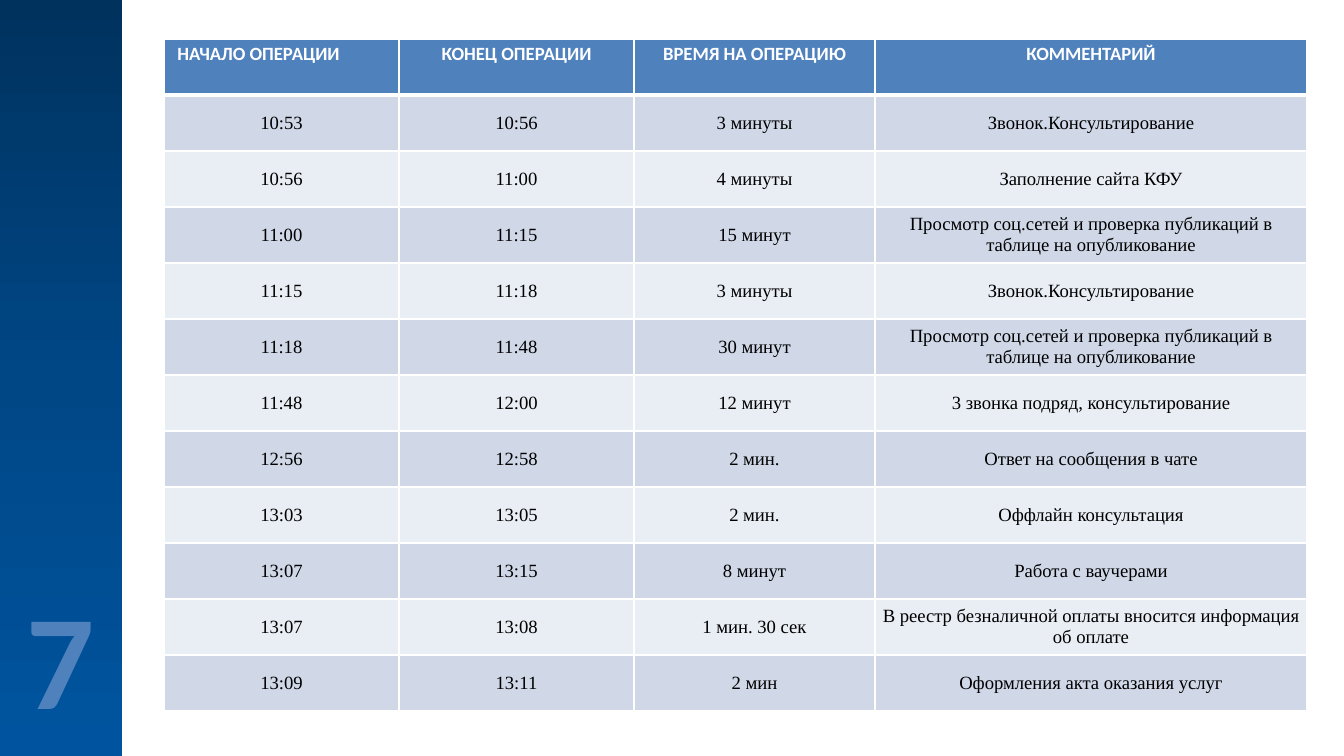
"""Build the slide with the operation timing table."""
import copy

import lxml.etree
import pptx
import pptx.dml.color
import pptx.enum.dml
import pptx.enum.shapes
import pptx.enum.text
import pptx.oxml.ns
import pptx.util

HEADERS = ["НАЧАЛО ОПЕРАЦИИ", "КОНЕЦ ОПЕРАЦИИ", "ВРЕМЯ НА ОПЕРАЦИЮ", "КОММЕНТАРИЙ"]
CALL = "Звонок.Консультирование"
REVIEW = "Просмотр соц.сетей и проверка публикаций в таблице на опубликование"
OPERATIONS = [
    ("10:53", "10:56", "3 минуты", CALL),
    ("10:56", "11:00", "4 минуты", "Заполнение сайта КФУ"),
    ("11:00", "11:15", "15 минут", REVIEW),
    ("11:15", "11:18", "3 минуты", CALL),
    ("11:18", "11:48", "30 минут", REVIEW),
    ("11:48", "12:00", "12 минут", "3 звонка подряд, консультирование"),
    ("12:56", "12:58", "2 мин.", "Ответ на сообщения в чате"),
    ("13:03", "13:05", "2 мин.", "Оффлайн консультация"),
    ("13:07", "13:15", "8 минут", "Работа с ваучерами"),
    ("13:07", "13:08", "1 мин. 30 сек", "В реестр безналичной оплаты вносится информация об оплате"),
    ("13:09", "13:11", "2 мин", "Оформления акта оказания услуг"),
]
PAGE_NUMBER = "7"

PAGE_SIZE = (1344, 756)
SIDEBAR_WIDTH = 122
NUMBER_BOX = (13, 569, 95, 176)
TABLE_LEFT, TABLE_TOP = 164, 39
COLUMN_WIDTHS = [235, 235, 241, 432]
ROW_HEIGHT = 56
GRADIENT = [(0, "00325E"), (0.5, "004786"), (1, "00549F")]
ACCENT, WHITE, BLACK = "4F81BD", "FFFFFF", "000000"
BANDS = ["D0D8E8", "E9EDF4"]
ALIGN = pptx.enum.text.PP_ALIGN


def px(length):
    return pptx.util.Emu(round(length * 914400 / 134.4))


def color(value):
    return pptx.dml.color.RGBColor.from_string(value)


def write(frame, text, font, size, ink, bold=False, align=ALIGN.CENTER, spacing=None):
    para = frame.paragraphs[0]
    para.alignment = align
    para.line_spacing = spacing
    span = para.add_run()
    span.text = text
    span.font.name = font
    span.font.size = pptx.util.Pt(size)
    span.font.bold = bold
    span.font.color.rgb = color(ink)


def add_border(cell, side, width):
    properties = cell._tc.get_or_add_tcPr()
    line = lxml.etree.SubElement(properties, pptx.oxml.ns.qn(f"a:ln{side}"), w=str(pptx.util.Pt(width)))
    fill = lxml.etree.SubElement(line, pptx.oxml.ns.qn("a:solidFill"))
    lxml.etree.SubElement(fill, pptx.oxml.ns.qn("a:srgbClr"), val=WHITE)


def add_sidebar(page):
    sidebar = page.shapes.add_shape(
        pptx.enum.shapes.MSO_SHAPE.RECTANGLE, 0, 0, px(SIDEBAR_WIDTH), px(PAGE_SIZE[1]))
    sidebar.shadow.inherit = False
    sidebar.line.fill.background()
    sidebar.fill.gradient()
    sidebar.fill.gradient_angle = 270
    stops = sidebar._element.spPr.find(".//" + pptx.oxml.ns.qn("a:gsLst"))
    stops.insert(1, copy.deepcopy(stops[0]))
    for stop, (position, value) in zip(sidebar.fill.gradient_stops, GRADIENT):
        stop.position = position
        stop.color.rgb = color(value)


def add_page_number(page):
    box = page.shapes.add_textbox(*map(px, NUMBER_BOX))
    box.text_frame.word_wrap = False
    box.text_frame.auto_size = pptx.enum.text.MSO_AUTO_SIZE.SHAPE_TO_FIT_TEXT
    write(box.text_frame, PAGE_NUMBER, "Calibri", 72, ACCENT, bold=True)


def fill_header(cell, text, column):
    align = ALIGN.CENTER if column else ALIGN.LEFT
    write(cell.text_frame, text, "Calibri", 10, WHITE, True, align, 0.8)


def fill_body(cell, text):
    cell.vertical_anchor = pptx.enum.text.MSO_ANCHOR.MIDDLE
    cell.margin_left = cell.margin_right = px(4)
    cell.margin_top = cell.margin_bottom = px(3)
    write(cell.text_frame, text, "Times New Roman", 10, BLACK)


def add_operations(page):
    rows = [HEADERS, *OPERATIONS]
    table = page.shapes.add_table(
        len(rows), len(HEADERS), px(TABLE_LEFT), px(TABLE_TOP),
        px(sum(COLUMN_WIDTHS)), px(ROW_HEIGHT * len(rows))).table
    for column, width in zip(table.columns, COLUMN_WIDTHS):
        column.width = px(width)
    for index, texts in enumerate(rows):
        table.rows[index].height = px(ROW_HEIGHT)
        for column, text in enumerate(texts):
            cell = table.cell(index, column)
            for side in "LRTB":
                thick = (index, side) in [(0, "B"), (1, "T")]
                add_border(cell, side, 3 if thick else 1)
            cell.fill.solid()
            cell.fill.fore_color.rgb = color(BANDS[(index - 1) % 2] if index else ACCENT)
            if index:
                fill_body(cell, text)
            else:
                fill_header(cell, text, column)


def main():
    deck = pptx.Presentation()
    deck.slide_width, deck.slide_height = map(px, PAGE_SIZE)
    page = deck.slides.add_slide(deck.slide_layouts[6])
    add_sidebar(page)
    add_page_number(page)
    add_operations(page)
    deck.save("out.pptx")


if __name__ == "__main__":
    main()
